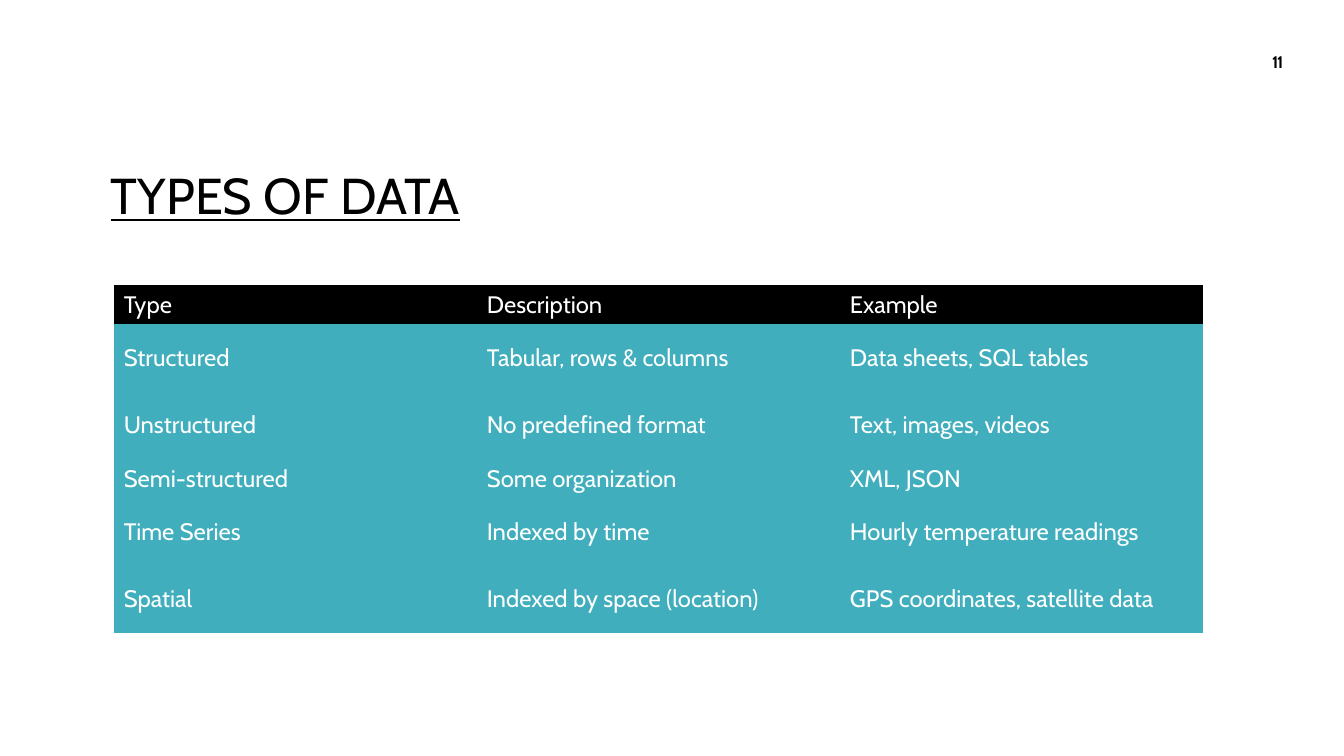
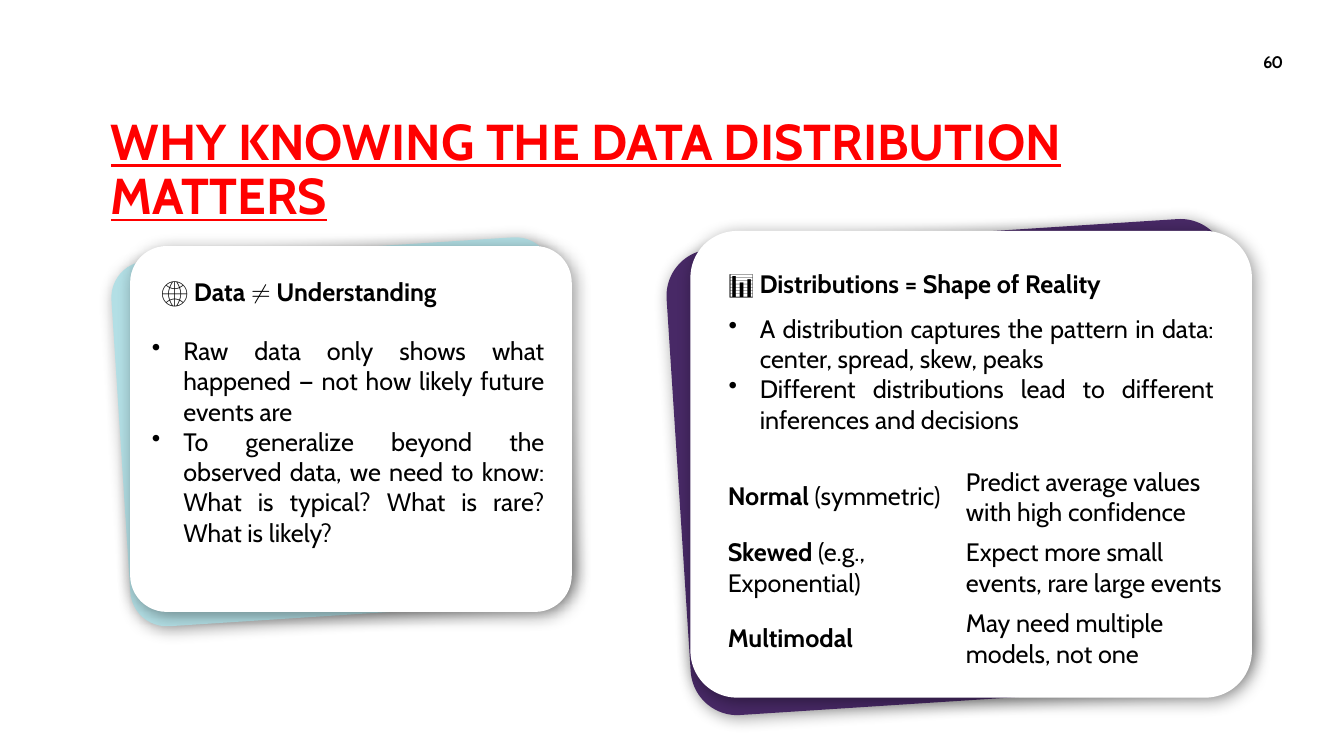
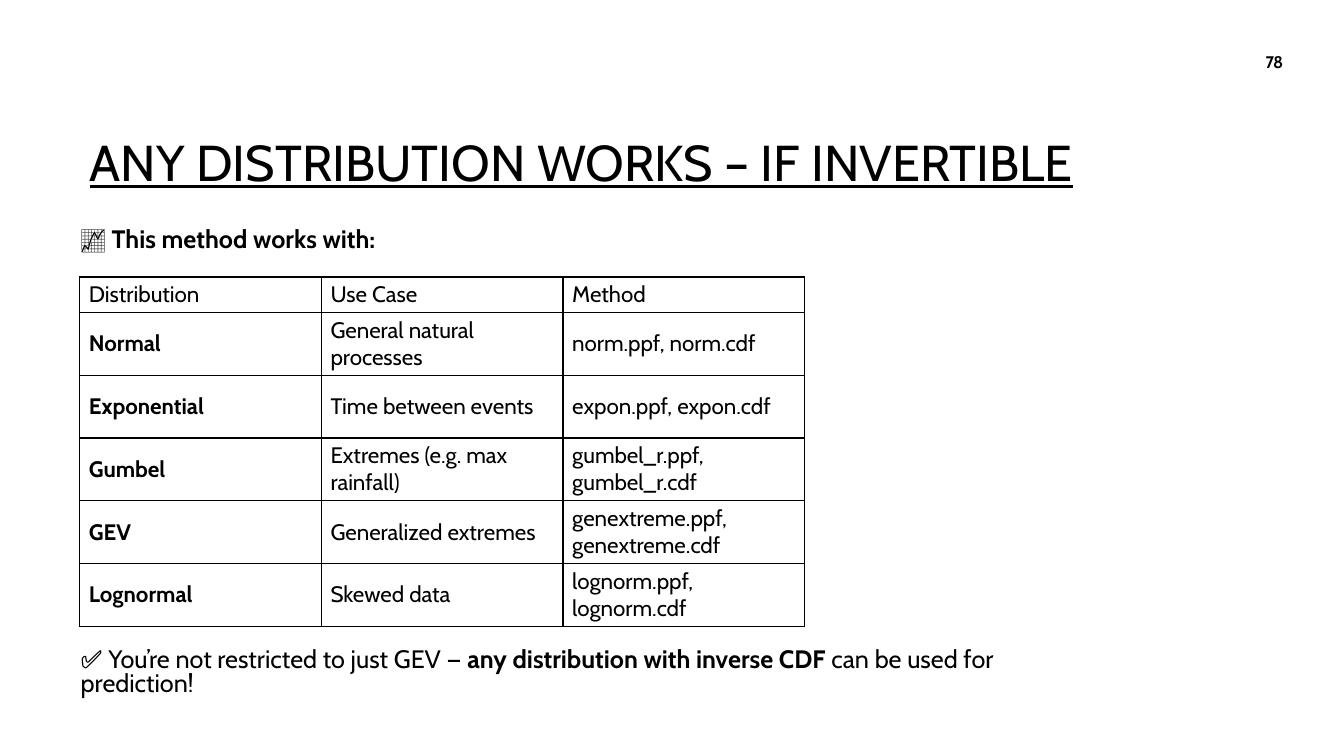
from lxml import etree
from pptx import Presentation
from pptx.dml.color import RGBColor
from pptx.enum.shapes import MSO_SHAPE as Preset
from pptx.enum.text import MSO_ANCHOR as Anchor, MSO_AUTO_SIZE as AutoSize, PP_ALIGN as Align
from pptx.oxml.ns import qn
from pptx.util import Cm, Pt

FONT = "Cabin"
COLORS = {
    "black": "000000",
    "white": "FFFFFF",
    "red": "FF0000",
    "teal": "41AEBD",
    "pale_teal": "B3DFE5",
    "purple": "482966",
}
TITLE_ONLY, TITLE_AND_BODY = 5, 1
NO_STYLE_NO_GRID = "{2D5ABB26-0587-4C30-8999-92F81FD0307C}"
CARD_TILT = 356.3

DATA_TYPES = [
    ("Type", "Description", "Example"),
    ("Structured", "Tabular, rows & columns", "Data sheets, SQL tables"),
    ("Unstructured", "No predefined format", "Text, images, videos"),
    ("Semi-structured", "Some organization", "XML, JSON"),
    ("Time Series", "Indexed by time", "Hourly temperature readings"),
    ("Spatial", "Indexed by space (location)", "GPS coordinates, satellite data"),
]
SHAPES_OF_REALITY = [
    ("**Normal** (symmetric)", "Predict average values with high confidence"),
    ("**Skewed** (e.g., Exponential)", "Expect more small events, rare large events"),
    ("**Multimodal**", "May need multiple models, not one"),
]
METHODS = [
    ("Distribution", "Use Case", "Method"),
    ("**Normal**", "General natural processes", "norm.ppf, norm.cdf"),
    ("**Exponential**", "Time between events", "expon.ppf, expon.cdf"),
    ("**Gumbel**", "Extremes (e.g. max rainfall)", "gumbel_r.ppf, gumbel_r.cdf"),
    ("**GEV**", "Generalized extremes", "genextreme.ppf, genextreme.cdf"),
    ("**Lognormal**", "Skewed data", "lognorm.ppf, lognorm.cdf"),
]


def rgb(name):
    return RGBColor.from_string(COLORS[name])


def place(shape, left, top, width, height):
    shape.left, shape.top = Cm(left), Cm(top)
    shape.width, shape.height = Cm(width), Cm(height)


def write(paragraph, text, size=18, color="black"):
    """Write text into a paragraph; parts between ** marks are bold."""
    for index, part in enumerate(text.split("**")):
        if part:
            run = paragraph.add_run()
            run.text = part
            run.font.name = FONT
            run.font.size = Pt(size)
            run.font.bold = index % 2 == 1
            run.font.color.rgb = rgb(color)


def set_bullet(paragraph, char=None, indent=0):
    properties = paragraph._p.get_or_add_pPr()
    properties.set("marL", str(Cm(indent)))
    properties.set("indent", str(-Cm(indent)))
    if char:
        etree.SubElement(properties, qn("a:buChar")).set("char", char)
    else:
        etree.SubElement(properties, qn("a:buNone"))


def add_text(slide, box, paragraphs, size=18, bullet=None, align=Align.LEFT):
    frame = slide.shapes.add_textbox(*map(Cm, box)).text_frame
    frame.word_wrap = True
    for index, text in enumerate(paragraphs):
        paragraph = frame.add_paragraph() if index else frame.paragraphs[0]
        if bullet:
            set_bullet(paragraph, bullet, 0.79)
        paragraph.alignment = align
        write(paragraph, text, size)
    return frame


def add_slide(deck, layout, title, number, color="black", left=2.54, top=2.54):
    """Add a slide with the underlined title and the page number at top right."""
    slide = deck.slides.add_slide(deck.slide_layouts[layout])
    heading = slide.shapes.title
    place(heading, left, top, 28.78, 3.28)
    frame = heading.text_frame
    frame.auto_size = AutoSize.NONE
    frame.word_wrap = True
    frame.vertical_anchor = Anchor.BOTTOM
    paragraph = frame.paragraphs[0]
    paragraph.alignment = Align.LEFT
    paragraph.line_spacing = 0.9
    write(paragraph, title, 36, color)
    paragraph.runs[0].font.underline = True

    page = add_text(slide, (29.59, 1.3, 3, 1.24), [f"**{number}**"], 12, align=Align.RIGHT)
    page.margin_top = 0
    page.paragraphs[0].runs[0].font._element.set("spc", "-80")
    return slide


def add_cell_borders(cell):
    properties = cell._tc.get_or_add_tcPr()
    for side in ("a:lnL", "a:lnR", "a:lnT", "a:lnB"):
        line = etree.SubElement(properties, qn(side), w=str(Pt(1)))
        fill = etree.SubElement(line, qn("a:solidFill"))
        etree.SubElement(fill, qn("a:srgbClr"), val=COLORS["black"])


def add_grid(slide, left, top, widths, heights, rows, size=18, color="black",
             fills=None, bordered=False, margins=(0.25, 0.13)):
    """Add a table; fills holds the header colour and the body colour."""
    table = slide.shapes.add_table(
        len(rows), len(widths), Cm(left), Cm(top), Cm(sum(widths)), Cm(sum(heights))).table
    table.first_row = table.horz_banding = False
    table._tbl.tblPr.find(qn("a:tableStyleId")).text = NO_STYLE_NO_GRID
    for column, width in zip(table.columns, widths):
        column.width = Cm(width)
    for row_index, (row, height, texts) in enumerate(zip(table.rows, heights, rows)):
        row.height = Cm(height)
        for cell, text in zip(row.cells, texts):
            cell.vertical_anchor = Anchor.MIDDLE
            cell.margin_left = cell.margin_right = Cm(margins[0])
            cell.margin_top = cell.margin_bottom = Cm(margins[1])
            if bordered:
                add_cell_borders(cell)
            if fills:
                cell.fill.solid()
                cell.fill.fore_color.rgb = rgb(fills[min(row_index, 1)])
            else:
                cell.fill.background()
            write(cell.text_frame.paragraphs[0], text, size, color)


def add_shadow(shape):
    effects = etree.SubElement(shape._element.spPr, qn("a:effectLst"))
    shadow = etree.SubElement(
        effects, qn("a:outerShdw"), blurRad=str(Pt(12)), dist=str(Pt(3)),
        dir=str(45 * 60000), algn="tl", rotWithShape="0")
    tone = etree.SubElement(shadow, qn("a:srgbClr"), val=COLORS["black"])
    etree.SubElement(tone, qn("a:alpha"), val="40000")


def add_card(slide, left, top, width, height, accent):
    """Add a white card over a tilted card in the accent colour."""
    layers = [(left - width * 0.022, top + 0.07, accent, CARD_TILT), (left, top, "white", 0)]
    for x, y, color, tilt in layers:
        card = slide.shapes.add_shape(
            Preset.ROUNDED_RECTANGLE, Cm(x), Cm(y), Cm(width), Cm(height))
        card.adjustments[0] = 0.1
        card.rotation = tilt
        card.fill.solid()
        card.fill.fore_color.rgb = rgb(color)
        card.line.fill.background()
        add_shadow(card)


def build_data_types(deck):
    slide = add_slide(deck, TITLE_ONLY, "TYPES OF DATA", 11)
    add_grid(slide, 2.87, 7.19, [9.15] * 3, [0.97, 1.7, 1.7, 0.97, 1.7, 1.7], DATA_TYPES,
             17, "white", ("black", "teal"))


def build_why_distribution(deck):
    slide = add_slide(
        deck, TITLE_ONLY, "**WHY KNOWING THE DATA DISTRIBUTION MATTERS**", 60, "red")
    add_card(slide, 3.28, 6.2, 11.13, 9.22, "pale_teal")
    add_text(slide, (3.81, 6.83, 10.39, 0.81), ["**🌐 Data ≠ Understanding**"])
    add_text(slide, (3.58, 8.33, 10.39, 4.42), [
        "Raw data only shows what happened — not how likely future events are",
        "To generalize beyond the observed data, we need to know: "
        "What is typical? What is rare? What is likely?",
    ], bullet="•", align=Align.JUSTIFY)

    add_card(slide, 17.4, 5.82, 14.15, 11.76, "purple")
    add_text(slide, (18.11, 6.63, 13.23, 1.02), ["**📊 Distributions = Shape of Reality**"])
    add_text(slide, (18.11, 7.77, 12.73, 3.33), [
        "A distribution captures the pattern in data: center, spread, skew, peaks",
        "Different distributions lead to different inferences and decisions",
    ], bullet="•", align=Align.JUSTIFY)
    add_grid(slide, 18.09, 11.63, [6, 7.23], [1.78] * 3, SHAPES_OF_REALITY)


def build_any_distribution(deck):
    slide = add_slide(deck, TITLE_AND_BODY, "ANY DISTRIBUTION WORKS – IF INVERTIBLE", 78,
                      left=2.01, top=1.7)
    body = slide.placeholders[1]
    place(body, 1.78, 5.64, 24, 12.55)
    frame = body.text_frame
    frame.auto_size = AutoSize.NONE
    intro, conclusion = frame.paragraphs[0], frame.add_paragraph()
    statements = [
        (intro, "**📈 This method works with:**", 0),
        (conclusion, "✅ You’re not restricted to just GEV — "
         "**any distribution with inverse CDF** can be used for prediction!", 283),
    ]
    for paragraph, text, gap in statements:
        set_bullet(paragraph)
        paragraph.line_spacing = 0.8
        paragraph.space_before = Pt(gap)
        write(paragraph, text)
    add_grid(slide, 2.01, 6.98, [6.09] * 3, [0.89] + [1.58] * 5, METHODS, 16,
             fills=("white", "white"), bordered=True, margins=(0.23, 0.11))


def main():
    deck = Presentation()
    deck.slide_width, deck.slide_height = Cm(33.87), Cm(19.05)
    build_data_types(deck)
    build_why_distribution(deck)
    build_any_distribution(deck)
    deck.save("out.pptx")


if __name__ == "__main__":
    main()
